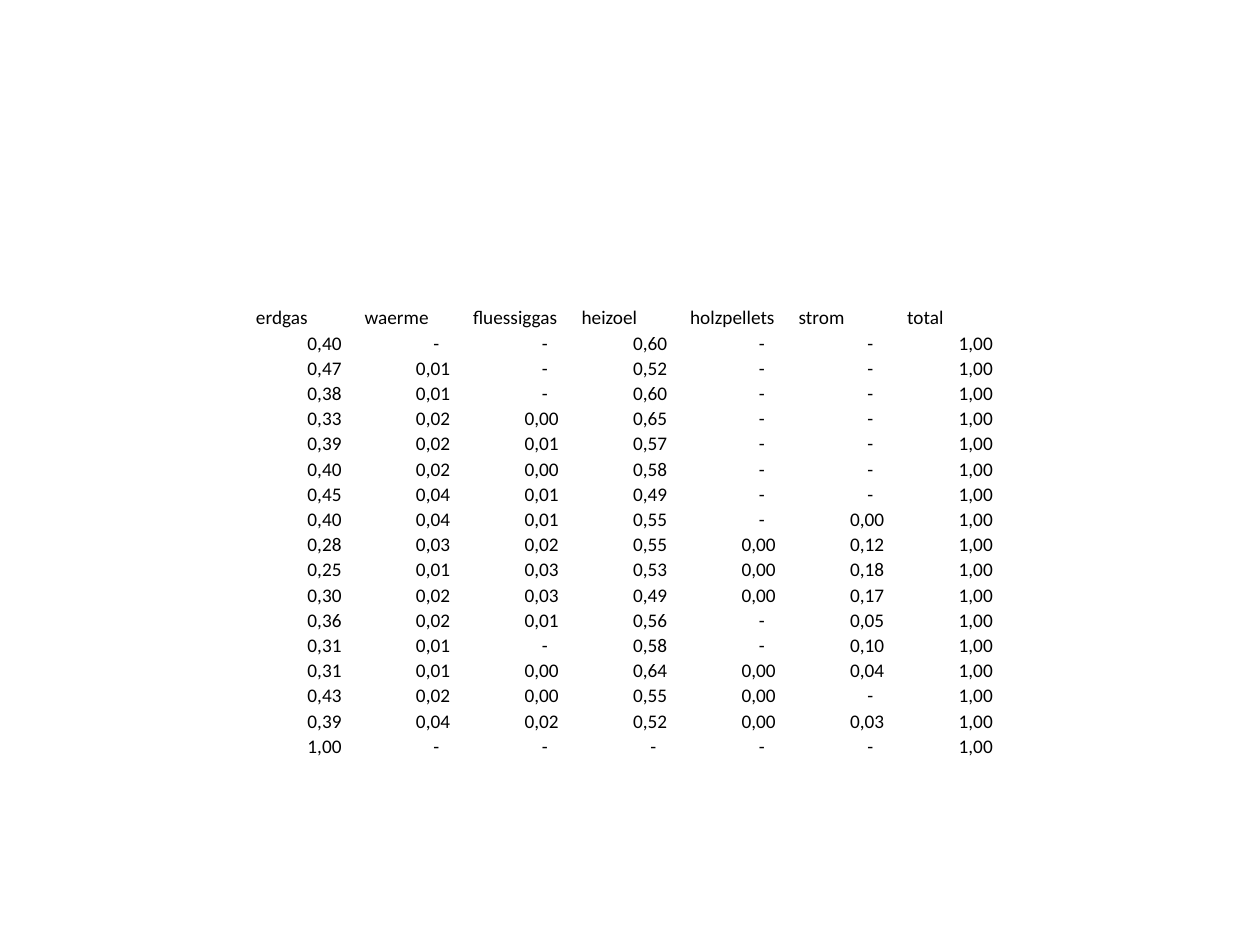
from pptx import Presentation
from pptx.dml.color import RGBColor
from pptx.enum.text import MSO_ANCHOR, PP_ALIGN
from pptx.util import Inches, Pt

PIXELS_PER_INCH = 126
FUELS = ["erdgas", "waerme", "fluessiggas", "heizoel", "holzpellets", "strom", "total"]
SHARES = """
0,40 - - 0,60 - - 1,00
0,47 0,01 - 0,52 - - 1,00
0,38 0,01 - 0,60 - - 1,00
0,33 0,02 0,00 0,65 - - 1,00
0,39 0,02 0,01 0,57 - - 1,00
0,40 0,02 0,00 0,58 - - 1,00
0,45 0,04 0,01 0,49 - - 1,00
0,40 0,04 0,01 0,55 - 0,00 1,00
0,28 0,03 0,02 0,55 0,00 0,12 1,00
0,25 0,01 0,03 0,53 0,00 0,18 1,00
0,30 0,02 0,03 0,49 0,00 0,17 1,00
0,36 0,02 0,01 0,56 - 0,05 1,00
0,31 0,01 - 0,58 - 0,10 1,00
0,31 0,01 0,00 0,64 0,00 0,04 1,00
0,43 0,02 0,00 0,55 0,00 - 1,00
0,39 0,04 0,02 0,52 0,00 0,03 1,00
1,00 - - - - - 1,00
"""


def px(pixels):
    return Inches(pixels / PIXELS_PER_INCH)


def color(hex_string):
    return RGBColor.from_string(hex_string)


def fill_cell(cell, text, align, left, right):
    cell.text = text
    cell.fill.background()
    cell.vertical_anchor = MSO_ANCHOR.BOTTOM
    cell.margin_left, cell.margin_right = px(left), px(right)
    cell.margin_top, cell.margin_bottom = px(1), 0
    paragraph = cell.text_frame.paragraphs[0]
    paragraph.alignment = align
    paragraph.font.name = "Calibri"
    paragraph.font.size = Pt(11)
    paragraph.font.color.rgb = color("000000")


def add_share_table(slide, left, top, width, height):
    share_rows = [line.split() for line in SHARES.strip().splitlines()]
    table = slide.shapes.add_table(
        len(share_rows) + 1, len(FUELS), px(left), px(top), px(width), px(height)
    ).table
    table.first_row = False
    table.horz_banding = False
    for column, fuel in enumerate(FUELS):
        fill_cell(table.cell(0, column), fuel, PP_ALIGN.LEFT, 5, 1)
    for row, shares in enumerate(share_rows, start=1):
        for column, share in enumerate(shares):
            right = 29 if share == "-" else 18
            fill_cell(table.cell(row, column), share, PP_ALIGN.RIGHT, 1, right)


def main():
    presentation = Presentation()
    presentation.slide_width = px(1260)
    presentation.slide_height = px(945)
    slide = presentation.slides.add_slide(presentation.slide_layouts[6])
    add_share_table(slide, 251, 305, 760, 454)
    presentation.save("out.pptx")


main()
